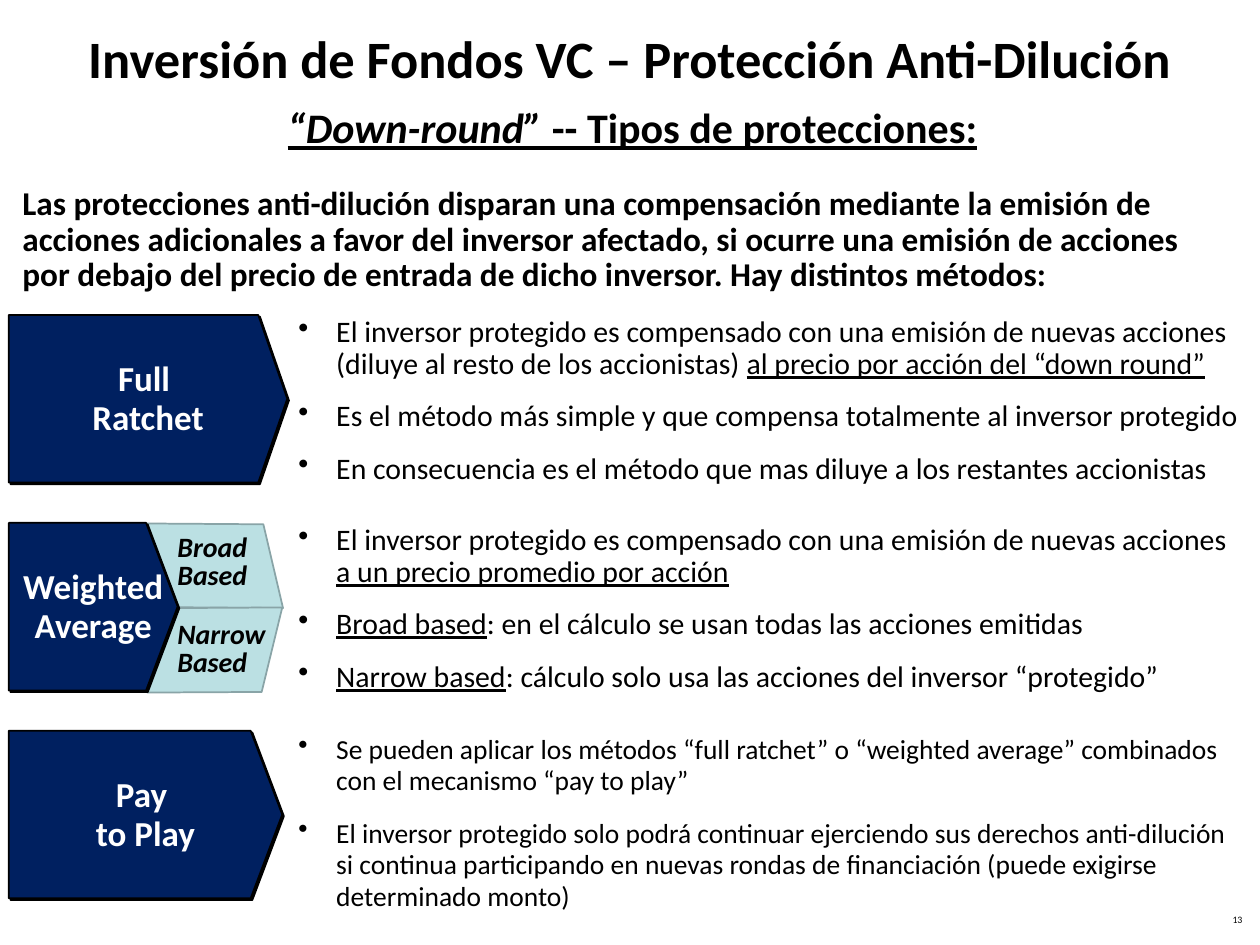
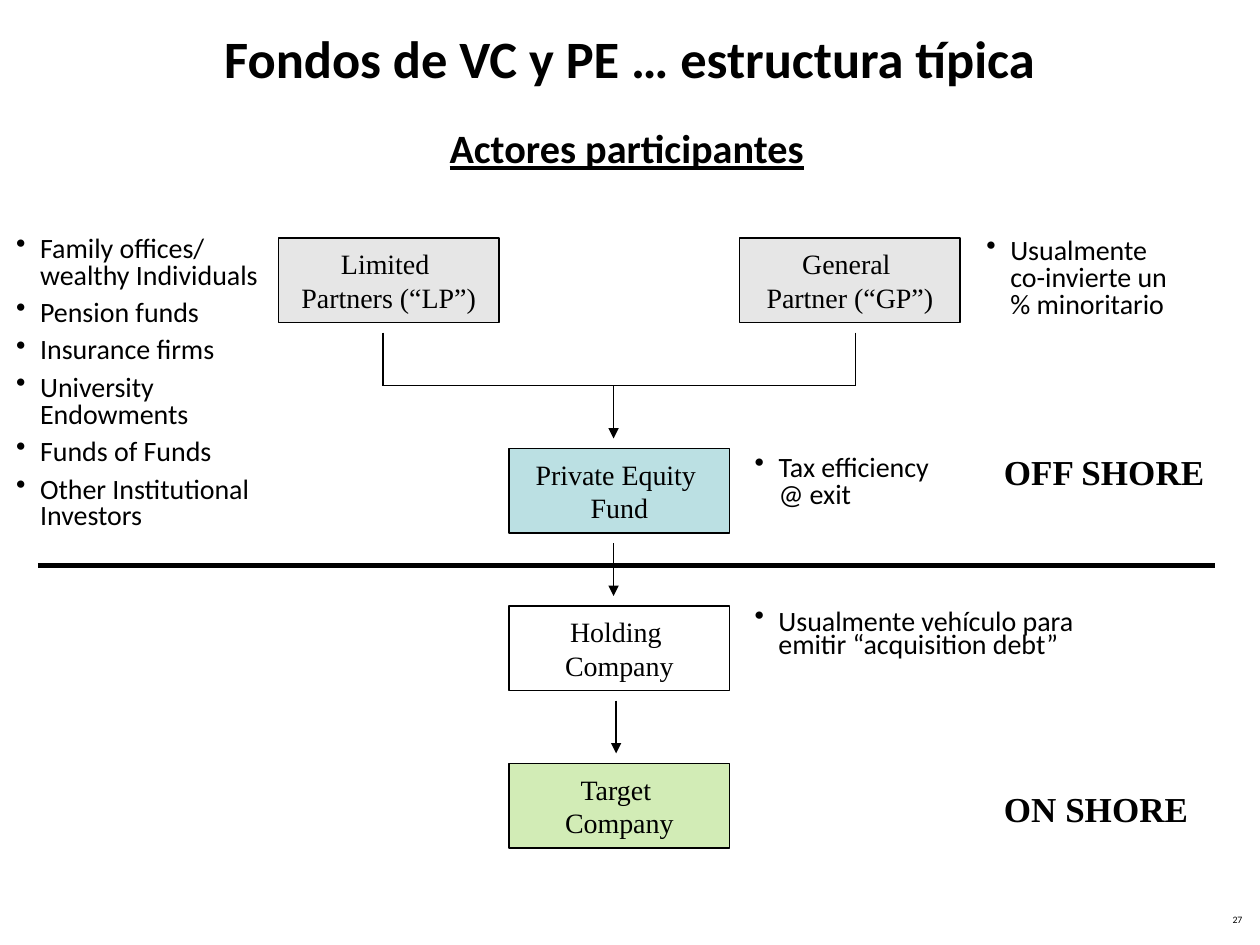
"""Build two slides on venture capital protections and fund structure."""
from dataclasses import dataclass

from lxml import etree
from pptx import Presentation
from pptx.dml.color import RGBColor
from pptx.enum.shapes import MSO_CONNECTOR, MSO_SHAPE
from pptx.enum.text import MSO_ANCHOR, PP_ALIGN
from pptx.oxml.ns import qn
from pptx.util import Inches, Pt

LEFT, MID, RIGHT = PP_ALIGN.LEFT, PP_ALIGN.CENTER, PP_ALIGN.RIGHT
TOP, CORE = MSO_ANCHOR.TOP, MSO_ANCHOR.MIDDLE
RECT, SLANT = MSO_SHAPE.RECTANGLE, MSO_SHAPE.PARALLELOGRAM
STRAIGHT = MSO_CONNECTOR.STRAIGHT
WIDE, HIGH = Inches(10), Inches(7.5)
COLS = 100


@dataclass(frozen=True)
class Theme:
    """Colours, fonts and type sizes of the deck."""
    ink: str = "000000"
    paper: str = "FFFFFF"
    navy: str = "002060"
    teal: str = "BBE0E3"
    edge: str = "89A4A7"
    grey: str = "E6E6E6"
    green: str = "D2ECB6"
    sans: str = "Calibri"
    serif: str = "Times New Roman"
    title: float = 30
    head: float = 24
    sub: float = 23
    label: float = 20
    lead: float = 19
    body: float = 17
    note: float = 16
    small: float = 15.7
    page: float = 5.6


LOOK = Theme()


def cell(num):
    """Turn grid cells, a hundredth of the slide width each, into a length."""
    return round(num * WIDE / COLS)


def area(*nums):
    """Turn several grid numbers into lengths."""
    return [cell(num) for num in nums]


def tint(name):
    """Make a colour from its hex name."""
    return RGBColor.from_string(name)


def dot(par, dent):
    """Give a paragraph a round bullet with a hanging indent."""
    props = par._p.get_or_add_pPr()
    props.set("marL", str(cell(dent)))
    props.set("indent", str(-cell(dent)))
    hue = etree.SubElement(props, qn("a:buClr"))
    etree.SubElement(hue, qn("a:srgbClr"), val=LOOK.ink)
    etree.SubElement(props, qn("a:buChar"), char="•")


def write(frame, pars, size=LOOK.note, font=LOOK.sans, color=LOOK.ink, style="",
          align=LEFT, anchor=TOP, space=None, gap=0, dent=0, wrap=True, side=1):
    """Fill a frame; a paragraph is a string or a list of (text, style) runs."""
    frame.word_wrap = wrap
    frame.vertical_anchor = anchor
    frame.margin_left = frame.margin_right = cell(side)
    frame.margin_top = frame.margin_bottom = cell(0.5)
    for num, runs in enumerate(pars):
        par = frame.add_paragraph() if num else frame.paragraphs[0]
        if dent:
            dot(par, dent)
        par.alignment = align
        par.space_before = Pt(gap if num else 0)
        if space:
            par.line_spacing = space
        for text, marks in [(runs, "")] if isinstance(runs, str) else runs:
            run = par.add_run()
            run.text = text
            face = run.font
            face.name, face.size = font, Pt(size)
            face.color.rgb = tint(color)
            face.bold = "b" in style + marks
            face.italic = "i" in style + marks
            face.underline = "u" in style + marks


def text(slide, spot, pars, **form):
    """Add a text box at a grid spot."""
    write(slide.shapes.add_textbox(*area(*spot)).text_frame, pars, **form)


def paint(shape, fill, line=LOOK.ink):
    """Set a flat fill and a thin outline."""
    shape.shadow.inherit = False
    shape.fill.solid()
    shape.fill.fore_color.rgb = tint(fill)
    shape.line.color.rgb = tint(line)
    shape.line.width = Pt(1)


def shade(shape):
    """Add a short, hard shadow down to the right."""
    glow = shape.element.spPr.find(qn("a:effectLst"))
    cast = etree.SubElement(glow, qn("a:outerShdw"), blurRad="0",
                            dist=str(Pt(1.4)), dir="2700000")
    etree.SubElement(cast, qn("a:srgbClr"), val=LOOK.ink)


def tag(slide, top, neck, tip, pars):
    """Draw a navy arrow tag whose point runs from neck to tip."""
    left, high = 0.7, 13.3
    pen = slide.shapes.build_freeform(*area(left, top), scale=1.0)
    ends = [(neck, top), (tip, top + high / 2), (neck, top + high), (left, top + high)]
    pen.add_line_segments([area(*end) for end in ends], close=True)
    shape = pen.convert_to_shape()
    paint(shape, LOOK.navy)
    shade(shape)
    write(shape.text_frame, pars, size=LOOK.label, color=LOOK.paper, style="b",
          align=MID, anchor=CORE, space=Pt(22), side=0)


def slant(slide, spot, turn, flip=False):
    """Draw a turned parallelogram."""
    shape = slide.shapes.add_shape(SLANT, *area(*spot))
    paint(shape, LOOK.teal, LOOK.edge)
    shape.rotation = turn
    if flip:
        shape.element.spPr.find(qn("a:xfrm")).set("flipV", "1")


def box(slide, left, top, fill, pars):
    """Draw one actor of the structure."""
    shape = slide.shapes.add_shape(RECT, *area(left, top, 17.5, 6.7))
    paint(shape, fill)
    write(shape.text_frame, pars, font=LOOK.serif, align=MID, anchor=CORE, wrap=False)


def link(slide, ends, width=1, arrow=False):
    """Draw a straight line, with an arrowhead if wanted."""
    line = slide.shapes.add_connector(STRAIGHT, *area(*ends))
    line.line.color.rgb = tint(LOOK.ink)
    line.line.width = Pt(width)
    props = line.element.spPr
    if arrow:
        etree.SubElement(props.find(qn("a:ln")), qn("a:tailEnd"), type="triangle")
    etree.SubElement(props, qn("a:effectLst"))


def page(deck, title, num):
    """Add a slide with its title and page number."""
    slide = deck.slides.add_slide(deck.slide_layouts[6])
    text(slide, (5, 0, 90, 9.1), [title], size=LOOK.title, style="b",
         align=MID, anchor=CORE)
    text(slide, (76.3, 72.2, 23.3, 2.1), [num], size=LOOK.page, align=RIGHT, space=0.8)
    return slide


def guard(deck):
    """Build the slide on kinds of protection."""
    slide = page(deck, "Inversión de Fondos VC – Protección Anti-Dilución", "13")
    text(slide, (8.1, 7.6, 84.2, 5),
         [[("“Down-round”", "i"), (" -- Tipos de protecciones:", "")]],
         size=LOOK.head, style="bu", align=MID)
    text(slide, (0.8, 14.4, 96.4, 9.4),
         ["Las protecciones anti-dilución disparan una compensación mediante la emisión "
          "de acciones adicionales a favor del inversor afectado, si ocurre una emisión "
          "de acciones por debajo del precio de entrada de dicho inversor. Hay distintos "
          "métodos:"], size=LOOK.lead, style="b", space=Pt(20))
    slant(slide, (12.3, 40.2, 9.1, 9.4), 76.8)
    slant(slide, (12.5, 47.2, 9.1, 8.8), 283.7, flip=True)
    shared = "El inversor protegido es compensado con una emisión de nuevas acciones "
    kinds = [
        (20.5, 22.8, ["Full ", "Ratchet"], LOOK.body, [
            [(shared + "(diluye al resto de los accionistas) ", ""),
             ("al precio por acción del “down round”", "u")],
            "Es el método más simple y que compensa totalmente al inversor protegido",
            "En consecuencia es el método que mas diluye a los restantes accionistas"]),
        (11.6, 14.1, ["Weighted Average"], LOOK.body, [
            [(shared, ""), ("a un precio promedio por acción", "u")],
            [("Broad based", "u"),
             (": en el cálculo se usan todas las acciones emitidas", "")],
            [("Narrow based", "u"),
             (": cálculo solo usa las acciones del inversor “protegido”", "")]]),
        (19.9, 22.4, ["Pay ", "to Play"], LOOK.small, [
            "Se pueden aplicar los métodos “full ratchet” o “weighted average” combinados "
            "con el mecanismo “pay to play”",
            "El inversor protegido solo podrá continuar ejerciendo sus derechos "
            "anti-dilución si continua participando en nuevas rondas de financiación "
            "(puede exigirse determinado monto)"]),
    ]
    for row, (neck, tip, name, size, notes) in enumerate(kinds):
        top = 25 + 16.5 * row
        tag(slide, top, neck, tip, name)
        text(slide, (22.7, top - 0.3, 77.2, 14.3), notes, size=size,
             space=Pt(18), gap=12, dent=3)
    for top, name in [(42, "Broad Based"), (48.9, "Narrow Based")]:
        text(slide, (13.1, top, 9.7, 5.5), [name], style="bi", space=Pt(16))


def fund(deck):
    """Build the slide on the structure of a fund."""
    slide = page(deck, "Fondos de VC y PE … estructura típica", "27")
    text(slide, (34.7, 9.3, 30.3, 4.9), ["Actores participantes"],
         size=LOOK.sub, style="bu", wrap=False)
    left, mid, right = [22.1 + 18.3 * col for col in range(3)]
    high, rows = 18.9, [35.6 + 12.5 * row for row in range(3)]
    actors = [
        (left, high, LOOK.grey, ["Limited ", "Partners (“LP”)"]),
        (right, high, LOOK.grey, ["General ", "Partner (“GP”)"]),
        (mid, rows[0], LOOK.teal, ["Private Equity ", "Fund"]),
        (mid, rows[1], LOOK.paper, ["Holding ", "Company"]),
        (mid, rows[2], LOOK.green, ["Target ", "Company"]),
    ]
    for actor in actors:
        box(slide, *actor)

    west, east, bar, drop = 30.4, 67.9, 30.6, 4.2
    link(slide, (west, bar, east, bar))
    for side in (west, east):
        link(slide, (side, bar - drop, side, bar))
    for across, top in [(48.7, bar), (48.7, rows[0] + 7.5), (48.9, rows[1] + 7.5)]:
        link(slide, (across, top, across, top + drop), arrow=True)
    link(slide, (3, 44.9, 96.4, 44.9), width=3)

    notes = [
        ((0.3, 18.3, 22.9, 25.9), 0.8,
         ["Family offices/ wealthy Individuals", "Pension funds", "Insurance firms",
          "University Endowments", "Funds of Funds", "Other Institutional Investors"]),
        ((77.3, 18.5, 17.8, 10.8), 0.8, ["Usualmente co-invierte un % minoritario"]),
        ((58.9, 35.7, 17.8, 5.6), 0.8, ["Tax efficiency @ exit"]),
        ((58.9, 48.1, 27.7, 5.1), 0.7,
         ["Usualmente vehículo para emitir “acquisition debt”"]),
    ]
    for spot, space, pars in notes:
        text(slide, spot, pars, space=space, gap=6, dent=1.9)
    for top, name in [(35.3, "OFF SHORE"), (62, "ON SHORE")]:
        text(slide, (78.7, top, 18.3, 4.4), [name], size=LOOK.label,
             font=LOOK.serif, style="b")


def main():
    """Build and save the deck."""
    deck = Presentation()
    deck.slide_width, deck.slide_height = WIDE, HIGH
    guard(deck)
    fund(deck)
    deck.save("out.pptx")


if __name__ == "__main__":
    main()
